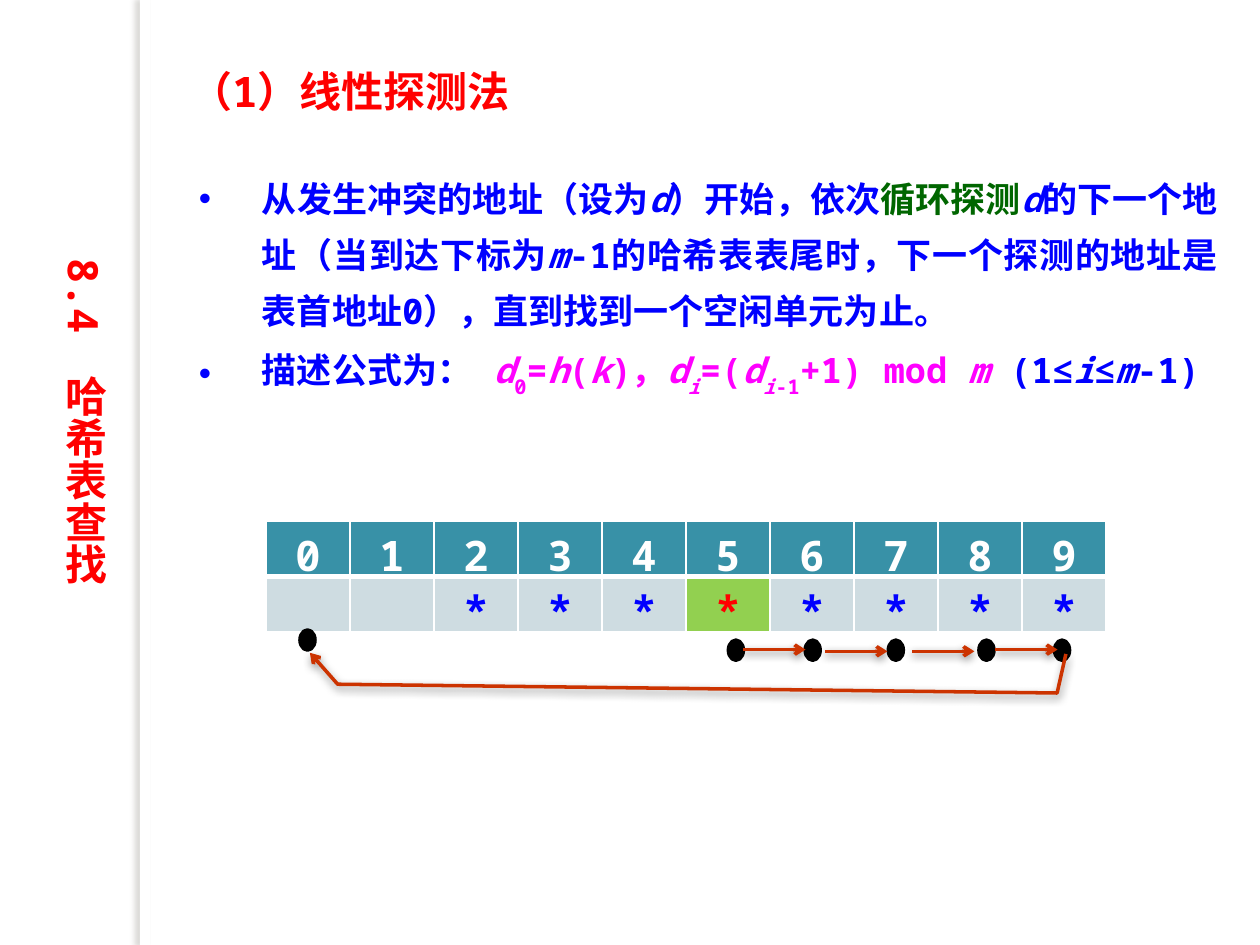
from lxml.etree import SubElement
from pptx import Presentation
from pptx.dml.color import RGBColor
from pptx.enum.shapes import MSO_CONNECTOR, MSO_SHAPE
from pptx.enum.text import MSO_ANCHOR, MSO_AUTO_SIZE, PP_ALIGN
from pptx.oxml import parse_xml
from pptx.oxml.ns import nsdecls, qn
from pptx.util import Pt

RED = RGBColor(0xFF, 0, 0)
BLUE = RGBColor(0, 0, 0xFF)
GREEN = RGBColor(0, 0x66, 0)
MAGENTA = RGBColor(0xFF, 0, 0xFF)
WHITE = RGBColor(0xFF, 0xFF, 0xFF)
BLACK = RGBColor(0, 0, 0)
HEADER_TEAL = RGBColor(0x38, 0x91, 0xA7)
CELL_GREY = RGBColor(0xCE, 0xDC, 0xE1)
CONFLICT_GREEN = RGBColor(0x92, 0xD0, 0x50)
ARROW_RED = RGBColor(0xCC, 0x33, 0)
SHADOW_BROWN = RGBColor(0x73, 0x6F, 0x63)
FONT = "Noto Sans Mono"

HEADING = "（1）线性探测法"
SECTION = "8.4　哈希表查找"
ITALIC = {"italic": True}
SUB = {"sub": True}
ITALIC_SUB = {"italic": True, "sub": True}
POINTS = [
    [("从发生冲突的地址（设为", BLUE, {}), ("d", BLUE, ITALIC), ("）开始，依次", BLUE, {}),
     ("循环探测", GREEN, {}), ("d", BLUE, ITALIC), ("的下一个地址（当到达下标为", BLUE, {}),
     ("m", BLUE, ITALIC),
     ("-1的哈希表表尾时，下一个探测的地址是表首地址0），直到找到一个空闲单元为止。", BLUE, {})],
    [("描述公式为： ", BLUE, {}), ("d", MAGENTA, ITALIC), ("0", MAGENTA, SUB),
     ("=", MAGENTA, {}), ("h", MAGENTA, ITALIC), ("(", MAGENTA, {}), ("k", MAGENTA, ITALIC),
     (")，", MAGENTA, {}), ("d", MAGENTA, ITALIC), ("i", MAGENTA, ITALIC_SUB),
     ("=(", MAGENTA, {}), ("d", MAGENTA, ITALIC), ("i", MAGENTA, ITALIC_SUB),
     ("-1", MAGENTA, SUB), ("+1) mod ", MAGENTA, {}), ("m ", MAGENTA, ITALIC),
     ("(1≤", BLUE, {}), ("i", BLUE, ITALIC), ("≤", BLUE, {}), ("m", BLUE, ITALIC),
     ("-1)", BLUE, {})],
]
SLOTS = ["", "", "*", "*", "*", "*", "*", "*", "*", "*"]
CONFLICT = 5
COLUMN_WIDTH, ROW_HEIGHT = 48, 29.2
DOT_WIDTH, DOT_HEIGHT = 8.6, 11.5
DOTS = [(416.2, 365.8), (507.6, 365.8), (460.1, 365.8), (559.4, 365.8), (602.6, 365.8), (171.4, 360)]
PROBE_LENGTH = 35.5
PROBES = [(424.8, 371.2), (471.6, 372.2), (521.3, 372.2), (568.8, 371.2)]
WRAP_AROUND = [(609.1, 373.7), (604.1, 396), (193, 391), (177.1, 373)]


def add_shadow(properties, color, alpha, blur, distance, angle):
    for old in properties.findall(qn("a:effectLst")):
        properties.remove(old)
    properties.append(parse_xml(
        f'<a:effectLst {nsdecls("a")}><a:outerShdw blurRad="{Pt(blur)}" dist="{Pt(distance)}" '
        f'dir="{angle * 60000}" algn="ctr" rotWithShape="0"><a:srgbClr val="{color}">'
        f'<a:alpha val="{alpha * 1000}"/></a:srgbClr></a:outerShdw></a:effectLst>'))


def add_text(paragraph, text, size, color, italic=False, sub=False):
    run = paragraph.add_run()
    run.text = text
    run.font.color.rgb = color
    for name, value in {"size": Pt(size), "name": FONT, "bold": True, "italic": italic}.items():
        setattr(run.font, name, value)
    properties = run.font._element
    SubElement(properties, qn("a:ea")).set("typeface", FONT)
    if sub:
        properties.set("baseline", "-30000")


def place(shape, left, top, width, height):
    for name, value in {"left": left, "top": top, "width": width, "height": height}.items():
        setattr(shape, name, Pt(value))


def style_arrow(arrow):
    arrow.line.color.rgb = ARROW_RED
    arrow.line.width = Pt(2)
    SubElement(arrow.line._get_or_add_ln(), qn("a:tailEnd")).set("type", "arrow")
    add_shadow(arrow._element.spPr, BLACK, 43, 5, 2, 90)


def add_borders(cell, widths):
    properties = cell._tc.get_or_add_tcPr()
    for index, (side, width) in enumerate(widths.items()):
        properties.insert(index, parse_xml(
            f'<a:{side} {nsdecls("a")} w="{Pt(width)}"><a:solidFill>'
            f'<a:srgbClr val="{WHITE}"/></a:solidFill></a:{side}>'))


def fill_cell(cell, text, color, fill, borders):
    cell.fill.solid()
    cell.fill.fore_color.rgb = fill
    add_borders(cell, borders)
    cell.margin_top, cell.margin_bottom = Pt(2.7), Pt(0)
    paragraph = cell.text_frame.paragraphs[0]
    paragraph.alignment = PP_ALIGN.CENTER
    if text:
        add_text(paragraph, text, 24, color)


def main():
    prs = Presentation()
    prs.slide_width, prs.slide_height = Pt(720), Pt(540)
    slide = prs.slides.add_slide(prs.slide_layouts[5])
    shapes = slide.shapes

    divider = shapes.add_shape(MSO_SHAPE.RECTANGLE, Pt(80), Pt(0), Pt(5.8), Pt(540))
    divider.fill.solid()
    divider.fill.fore_color.rgb = WHITE
    divider.line.fill.background()
    add_shadow(divider._element.spPr, SHADOW_BROWN, 25, 3, 3, 180)

    heading = shapes.title
    place(heading, 101.5, 33.8, 247.7, 36)
    frame = heading.text_frame
    for name, value in {"word_wrap": True, "auto_size": MSO_AUTO_SIZE.SHAPE_TO_FIT_TEXT,
                        "vertical_anchor": MSO_ANCHOR.TOP}.items():
        setattr(frame, name, value)
    frame.paragraphs[0].alignment = PP_ALIGN.LEFT
    add_text(frame.paragraphs[0], HEADING, 24, RED)

    body = shapes.add_textbox(Pt(106.6), Pt(90), Pt(596.2), Pt(148.3)).text_frame
    body.word_wrap = True
    for index, runs in enumerate(POINTS):
        paragraph = body.add_paragraph() if index else body.paragraphs[0]
        paragraph.alignment = PP_ALIGN.JUSTIFY
        paragraph.line_spacing = Pt(32)
        if index:
            paragraph.space_before = Pt(6)
        properties = paragraph._p.get_or_add_pPr()
        properties.set("marL", str(Pt(36)))
        properties.set("indent", str(-Pt(36)))
        SubElement(properties, qn("a:buFont")).set("typeface", "Arial")
        SubElement(properties, qn("a:buChar")).set("char", "•")
        for text, color, style in runs:
            add_text(paragraph, text, 20, color, **style)

    count = len(SLOTS)
    table = shapes.add_table(2, count, Pt(152), Pt(298), Pt(COLUMN_WIDTH * count),
                             Pt(ROW_HEIGHT * 2)).table
    for row in table.rows:
        row.height = Pt(ROW_HEIGHT)
    header_borders = {"lnL": 1, "lnR": 1, "lnT": 1, "lnB": 3}
    slot_borders = {"lnL": 1, "lnR": 1, "lnT": 3, "lnB": 1}
    for index, mark in enumerate(SLOTS):
        table.columns[index].width = Pt(COLUMN_WIDTH)
        color, fill = (RED, CONFLICT_GREEN) if index == CONFLICT else (BLUE, CELL_GREY)
        fill_cell(table.cell(0, index), str(index), WHITE, HEADER_TEAL, header_borders)
        fill_cell(table.cell(1, index), mark, color, fill, slot_borders)

    for left, top in DOTS:
        dot = shapes.add_shape(MSO_SHAPE.OVAL, Pt(left), Pt(top), Pt(DOT_WIDTH), Pt(DOT_HEIGHT))
        dot.shadow.inherit = False
        dot.fill.solid()
        dot.fill.fore_color.rgb = BLACK
        dot.line.color.rgb = BLACK
        dot.line.width = Pt(2)

    for left, top in PROBES:
        style_arrow(shapes.add_connector(MSO_CONNECTOR.STRAIGHT, Pt(left), Pt(top),
                                         Pt(left + PROBE_LENGTH), Pt(top)))

    start, *bends = [(Pt(x), Pt(y)) for x, y in WRAP_AROUND]
    builder = shapes.build_freeform(*start)
    builder.add_line_segments(bends, close=False)
    wrap_around = builder.convert_to_shape()
    wrap_around.fill.background()
    style_arrow(wrap_around)

    section = shapes.add_textbox(Pt(22.3), Pt(140.4), Pt(44), Pt(219.6)).text_frame
    section.word_wrap = True
    section._txBody.bodyPr.set("vert", "eaVert")
    section.paragraphs[0].alignment = PP_ALIGN.CENTER
    add_text(section.paragraphs[0], SECTION, 24, RED)

    prs.save("out.pptx")


if __name__ == "__main__":
    main()
